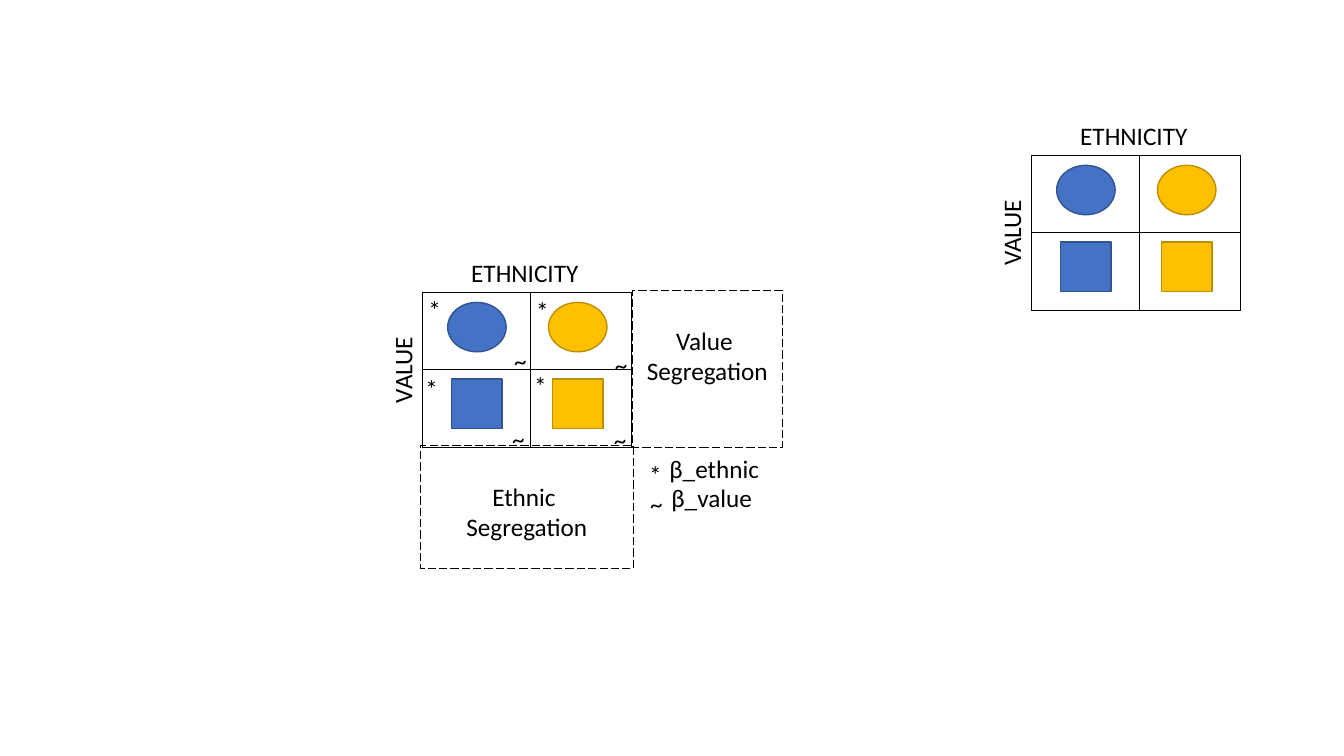
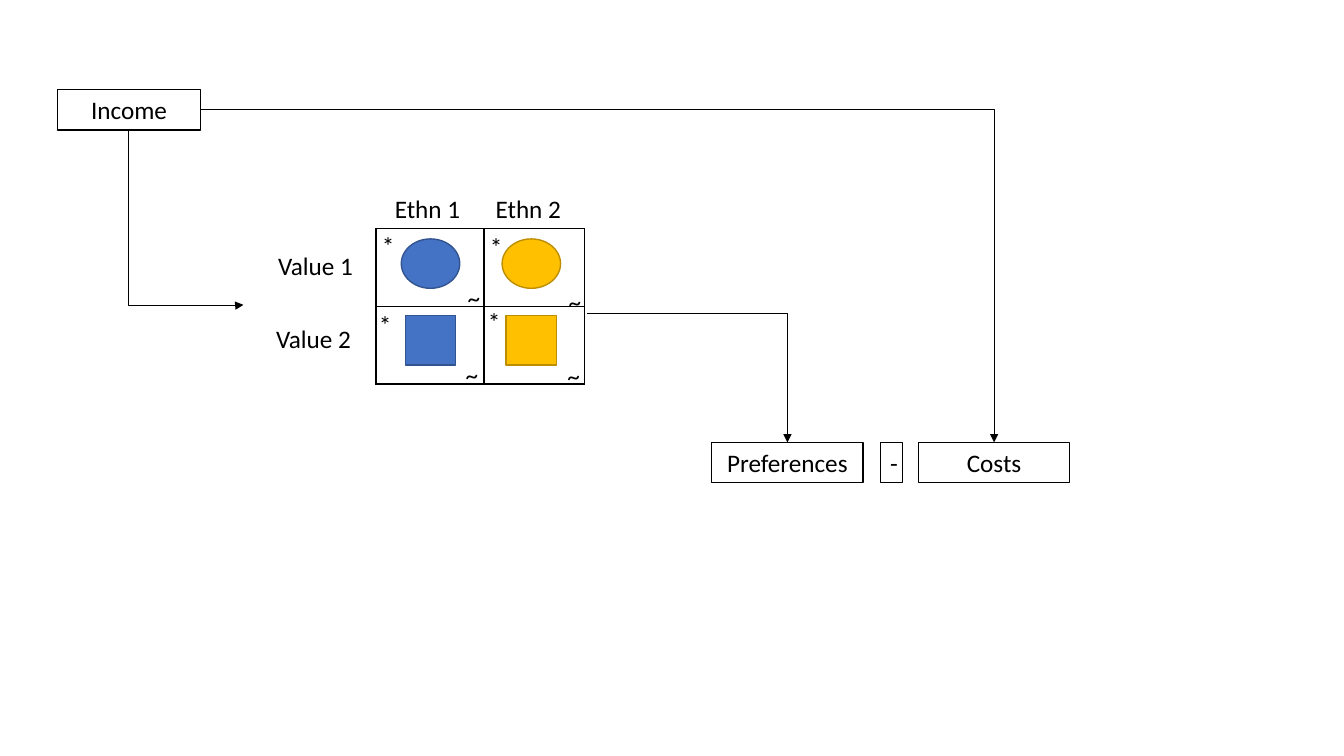
import dataclasses

import lxml.etree
import pptx
import pptx.dml.color
import pptx.enum.dml
import pptx.enum.shapes
import pptx.enum.text
import pptx.oxml.ns
import pptx.util

Inches = pptx.util.Inches
Pt = pptx.util.Pt
Color = pptx.dml.color.RGBColor.from_string
ShapeType = pptx.enum.shapes.MSO_SHAPE
Align = pptx.enum.text.PP_ALIGN
qn = pptx.oxml.ns.qn


@dataclasses.dataclass(frozen=True)
class Theme:
    """Colours, font and sizes shared by the slides."""

    font: str = "Calibri"
    text_size: int = 18
    black: str = "000000"
    white: str = "FFFFFF"
    blue: str = "4472C4"
    blue_line: str = "325491"
    gold: str = "FFC000"
    gold_line: str = "BD8E00"
    line_width: float = 1
    dash_width: float = 0.75
    arrow_width: float = 0.5
    label_height: float = 0.4


theme = Theme()
column_widths = (1.07, 1.0)
row_height = 0.77
# Marks inside a grid, as offsets from its top left corner.
grid_marks = (
    ("*", -0.04, -0.03), ("*", 1.03, -0.02), ("*", -0.07, 0.75), ("*", 1.01, 0.72),
    ("~", 0.81, 0.48), ("~", 1.81, 0.52), ("~", 0.79, 1.25), ("~", 1.8, 1.26),
)


def add_label(slide, text, left, top, width, align=Align.CENTER, boxed=False):
    """Add a text box, with a white fill and black outline if boxed."""
    label = slide.shapes.add_textbox(
        Inches(left), Inches(top), Inches(width), Inches(theme.label_height))
    frame = label.text_frame
    frame.word_wrap = True
    frame.auto_size = pptx.enum.text.MSO_AUTO_SIZE.SHAPE_TO_FIT_TEXT
    frame.text = text
    for paragraph in frame.paragraphs:
        paragraph.alignment = align
        for run in paragraph.runs:
            run.font.name = theme.font
            run.font.size = Pt(theme.text_size)
            run.font.color.rgb = Color(theme.black)
    if boxed:
        label.fill.solid()
        label.fill.fore_color.rgb = Color(theme.white)
        label.line.color.rgb = Color(theme.black)
        label.line.width = Pt(theme.line_width)
    return label


def add_grid(slide, left, top, marked=True):
    """Add the two by two table with its symbols and, if marked, its marks."""
    table = slide.shapes.add_table(
        2, 2, Inches(left), Inches(top),
        Inches(sum(column_widths)), Inches(2 * row_height)).table
    table.first_row = False
    table.horz_banding = False
    for column, width in zip(table.columns, column_widths):
        column.width = Inches(width)
    for row in table.rows:
        row.height = Inches(row_height)
    for cell in table.iter_cells():
        cell.fill.background()
        properties = cell._tc.get_or_add_tcPr()
        for position, side in enumerate(("lnL", "lnR", "lnT", "lnB")):
            border = lxml.etree.Element(qn("a:" + side), w=str(Pt(theme.line_width)))
            fill = lxml.etree.SubElement(border, qn("a:solidFill"))
            lxml.etree.SubElement(fill, qn("a:srgbClr"), val=theme.black)
            properties.insert(position, border)

    symbols = ((ShapeType.OVAL, 0.25, 0.1, 0.58), (ShapeType.RECTANGLE, 0.29, 0.86, 0.5))
    colors = ((theme.blue, theme.blue_line), (theme.gold, theme.gold_line))
    for kind, offset_x, offset_y, width in symbols:
        for column, (fill_color, line_color) in enumerate(colors):
            symbol = slide.shapes.add_shape(
                kind, Inches(left + offset_x + column), Inches(top + offset_y),
                Inches(width), Inches(0.49))
            symbol.shadow.inherit = False
            symbol.fill.solid()
            symbol.fill.fore_color.rgb = Color(fill_color)
            symbol.line.color.rgb = Color(line_color)
            symbol.line.width = Pt(theme.line_width)
    if marked:
        for mark, offset_x, offset_y in grid_marks:
            add_label(slide, mark, left + offset_x, top + offset_y, 0.25, Align.LEFT)


presentation = pptx.Presentation()
presentation.slide_width = Inches(13.33)
presentation.slide_height = Inches(7.5)
blank_layout = presentation.slide_layouts[6]

# Slide 1: segregation by ethnicity and value
slide = presentation.slides.add_slide(blank_layout)
for left, top, marked in ((4.19, 2.9, True), (10.23, 1.54, False)):
    add_grid(slide, left, top, marked)
    add_label(slide, "ETHNICITY", left - 0.04, top - 0.4, 2.11)
    value_label = add_label(slide, "VALUE", left - 0.97, top + 0.57, 1.54)
    value_label.rotation = 270

for text, left, top, width in (
        ("β_ethnic", 6.54, 4.45, 1.09), ("β_value", 6.56, 4.74, 1.09),
        ("*", 6.34, 4.51, 0.25), ("~", 6.35, 4.8, 0.25)):
    add_label(slide, text, left, top, width, Align.LEFT)

for text, left, top, width, height in (
        ("Value \nSegregation", 6.27, 2.88, 1.49, 1.56),
        ("Ethnic \nSegregation", 4.17, 4.42, 2.11, 1.22)):
    panel = add_label(slide, text, left, top, width)
    panel.text_frame.auto_size = pptx.enum.text.MSO_AUTO_SIZE.NONE
    panel.text_frame.margin_top = Inches(0.35)
    panel.height = Inches(height)
    panel.line.color.rgb = Color(theme.black)
    panel.line.width = Pt(theme.dash_width)
    panel.line.dash_style = pptx.enum.dml.MSO_LINE.LONG_DASH

# Slide 2: income, preferences and costs
slide = presentation.slides.add_slide(blank_layout)
add_grid(slide, 3.73, 2.27)
for text, left, top, width in (
        ("Ethn 1", 3.69, 1.87, 1.1), ("Ethn 2", 4.69, 1.87, 1.1),
        ("Value 1", 2.51, 2.43, 1.24), ("Value 2", 2.49, 3.16, 1.24)):
    add_label(slide, text, left, top, width)
for text, left, top, width in (
        ("Income", 0.57, 0.89, 1.42), ("Preferences", 7.06, 4.39, 1.5),
        ("-", 8.73, 4.39, 0.22), ("Costs", 9.11, 4.39, 1.5)):
    add_label(slide, text, left, top, width, boxed=True)

# The arrow from Income to the grid is an elbow turned by 270 degrees.
for begin_x, begin_y, end_x, end_y, preset, rotation in (
        (1.99, 1.09, 9.86, 4.39, "bentConnector2", 0),
        (2.71, 1.59, 0.98, 2.73, "bentConnector3", 270),
        (5.82, 3.11, 7.81, 4.39, "bentConnector2", 0)):
    arrow = slide.shapes.add_connector(
        pptx.enum.shapes.MSO_CONNECTOR.ELBOW,
        Inches(begin_x), Inches(begin_y), Inches(end_x), Inches(end_y))
    arrow.line.color.rgb = Color(theme.black)
    arrow.line.width = Pt(theme.arrow_width)
    properties = arrow._element.spPr
    geometry = properties.find(qn("a:prstGeom"))
    geometry.set("prst", preset)
    if rotation:
        properties.find(qn("a:xfrm")).set("rot", str(rotation * 60000))
        lxml.etree.SubElement(
            geometry.find(qn("a:avLst")), qn("a:gd"), name="adj1", fmla="val 100400")
    lxml.etree.SubElement(properties.find(qn("a:ln")), qn("a:tailEnd"), type="triangle")
    lxml.etree.SubElement(properties, qn("a:effectLst"))

presentation.save("out.pptx")
